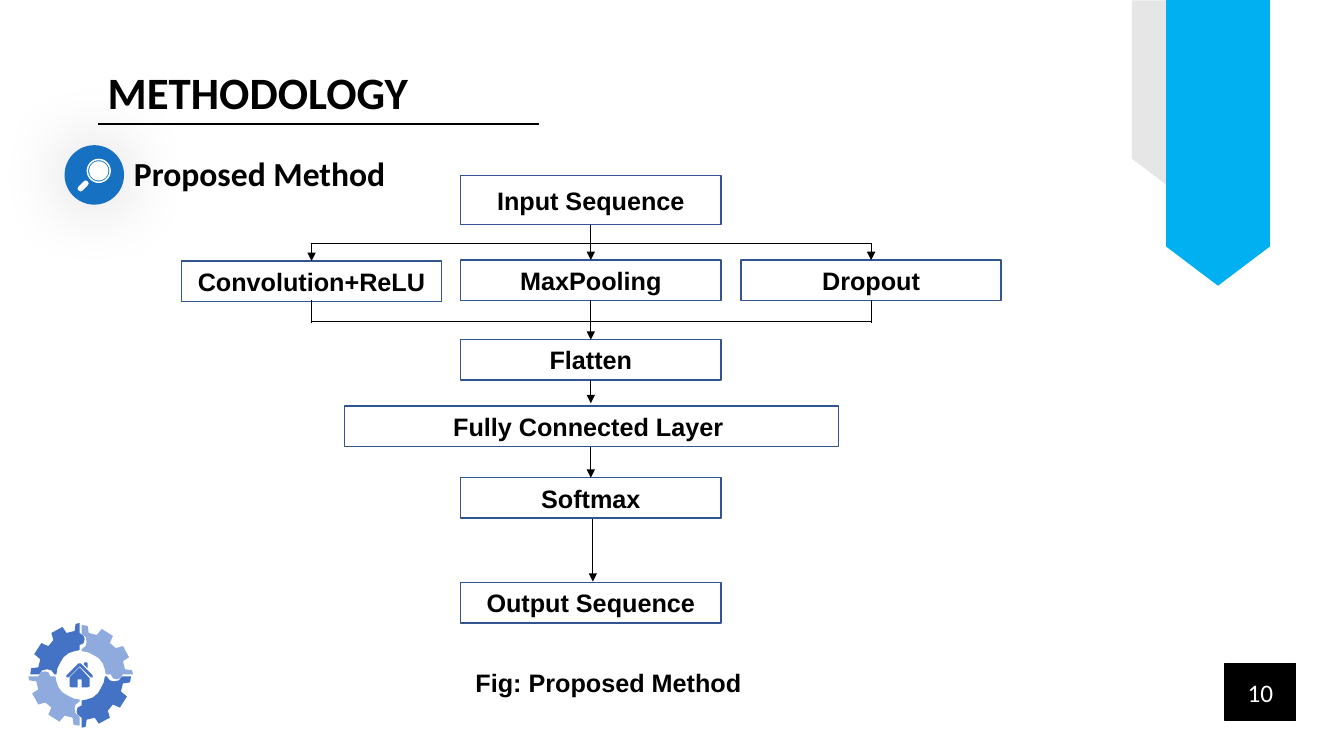
from dataclasses import dataclass
from math import cos, pi, sin

from lxml.etree import SubElement
from pptx import Presentation
from pptx.dml.color import RGBColor
from pptx.enum.shapes import MSO_CONNECTOR, MSO_SHAPE
from pptx.enum.text import MSO_ANCHOR as Anchor, MSO_AUTO_SIZE as AutoSize, PP_ALIGN as Align
from pptx.oxml.ns import qn
from pptx.util import Inches, Pt

BLACK, WHITE, BORDER = "000000", "FFFFFF", "325491"
GEAR_DARK, GEAR_LIGHT = "4472C4", "8FAADC"
Point = tuple[float, float]


@dataclass
class Box:
    text: str
    left: float
    top: float
    width: float = 2.58
    height: float = 0.4
    fill: str = WHITE
    border: str = BORDER
    font: str = "Arial"
    color: str = BLACK
    bold: bool = True


@dataclass
class Link:
    start: Point
    end: Point
    arrow: bool = False
    weight: float = 0.5


@dataclass
class Heading:
    text: str
    left: float
    top: float
    width: float
    height: float
    size: int


@dataclass
class Ribbon:
    left: float
    top: float
    width: float
    height: float
    fill: str


CENTER, LEFT_BRANCH, RIGHT_BRANCH = 5.86, 3.09, 8.64
COLUMN = 4.57

HEADINGS = [
    Heading("METHODOLOGY", 0.97, 0.59, 6.67, 0.64, 32),
    Heading("Proposed Method", 1.23, 1.47, 3.52, 0.5, 24),
]
BOXES = [
    Box("Input Sequence", COLUMN, 1.74, height=0.49),
    Box("Convolution+ReLU", 1.8, 2.59),
    Box("Dropout", 7.35, 2.58),
    Box("MaxPooling", COLUMN, 2.58),
    Box("Flatten", COLUMN, 3.37),
    Box("Fully Connected Layer ", 3.42, 4.03, width=4.9),
    Box("Softmax", COLUMN, 4.74),
    Box("Output Sequence", COLUMN, 5.78),
    Box("Fig: Proposed Method", 3.42, 6.57, width=5.23, border=WHITE),
    Box("10", 12.15, 6.58, 0.7, 0.57, BLACK, BLACK, "Calibri", WHITE, False),
]
LINKS = [
    Link((0.97, 1.23), (5.35, 1.23), weight=1.5),
    Link((LEFT_BRANCH, 2.41), (RIGHT_BRANCH, 2.41)),
    Link((LEFT_BRANCH, 2.41), (LEFT_BRANCH, 2.59), arrow=True),
    Link((RIGHT_BRANCH, 2.41), (RIGHT_BRANCH, 2.58), arrow=True),
    Link((LEFT_BRANCH, 3.19), (RIGHT_BRANCH, 3.19)),
    Link((LEFT_BRANCH, 2.98), (LEFT_BRANCH, 3.2)),
    Link((RIGHT_BRANCH, 2.98), (RIGHT_BRANCH, 3.2)),
    Link((CENTER, 2.23), (CENTER, 2.58), arrow=True),
    Link((CENTER, 2.98), (CENTER, 3.37), arrow=True),
    Link((CENTER, 3.77), (CENTER, 4), arrow=True),
    Link((CENTER, 4.43), (CENTER, 4.74), arrow=True),
    Link((5.88, 5.15), (5.88, 5.77), arrow=True),
]
RIBBONS = [
    Ribbon(10.68, 0.55, 1.86, 0.77, "E7E6E6"),
    Ribbon(10.66, 0.9, 2.84, 1.03, "00B0F0"),
]

GEAR_CENTER = (0.8, 6.7)
GEAR_QUARTER = [
    (0.38, 6.62), (0.31, 6.63), (0.3, 6.69), (0.39, 6.69), (0.42, 6.65), (0.47, 6.64),
    (0.51, 6.65), (0.54, 6.69), (0.56, 6.69), (0.57, 6.63), (0.6, 6.57), (0.63, 6.52),
    (0.68, 6.48), (0.74, 6.46), (0.79, 6.45), (0.79, 6.4), (0.83, 6.38), (0.84, 6.34),
    (0.83, 6.31), (0.79, 6.28), (0.79, 6.18), (0.75, 6.19), (0.74, 6.26), (0.66, 6.28),
    (0.62, 6.22), (0.51, 6.28), (0.53, 6.35), (0.48, 6.41), (0.41, 6.38), (0.34, 6.49),
    (0.4, 6.54),
]
HOUSE = [
    [(0.87, 6.58), (0.86, 6.57), (0.84, 6.57), (0.83, 6.59), (0.87, 6.63)],
    [(0.92, 6.7), (0.8, 6.58), (0.78, 6.58), (0.66, 6.7), (0.66, 6.72), (0.68, 6.72),
     (0.79, 6.61), (0.9, 6.72), (0.92, 6.72)],
    [(0.69, 6.72), (0.69, 6.81), (0.71, 6.82), (0.77, 6.82), (0.77, 6.74), (0.81, 6.74),
     (0.81, 6.82), (0.87, 6.82), (0.89, 6.81), (0.89, 6.73), (0.79, 6.62)],
]
HANDLE = [
    (0.85, 1.79), (0.87, 1.8), (0.88, 1.82), (0.87, 1.84), (0.82, 1.89), (0.8, 1.9),
    (0.78, 1.89), (0.77, 1.87), (0.78, 1.85), (0.83, 1.8),
]


def rgb(color: str) -> RGBColor:
    return RGBColor.from_string(color)


def write(shape, text: str, *, size: int = 18, font: str = "Arial", color: str = BLACK,
          bold: bool = True, align=Align.LEFT, anchor=Anchor.TOP) -> None:
    frame = shape.text_frame
    frame.word_wrap = True
    frame.vertical_anchor = anchor
    paragraph = frame.paragraphs[0]
    paragraph.alignment = align
    run = paragraph.add_run()
    run.text = text
    run.font.size, run.font.name, run.font.bold = Pt(size), font, bold
    run.font.color.rgb = rgb(color)


def paint(shape, fill: str, border: str | None = None) -> None:
    shape.shadow.inherit = False
    shape.fill.solid()
    shape.fill.fore_color.rgb = rgb(fill)
    if border:
        shape.line.color.rgb = rgb(border)
        shape.line.width = Pt(1)
    else:
        shape.line.fill.background()


def add_preset(shapes, kind, left: float, top: float, width: float, height: float):
    return shapes.add_shape(kind, Inches(left), Inches(top), Inches(width), Inches(height))


def add_heading(shapes, heading: Heading) -> None:
    shape = shapes.add_textbox(Inches(heading.left), Inches(heading.top),
                               Inches(heading.width), Inches(heading.height))
    write(shape, heading.text, size=heading.size, font="Calibri")
    shape.text_frame.auto_size = AutoSize.SHAPE_TO_FIT_TEXT


def add_box(shapes, box: Box) -> None:
    shape = add_preset(shapes, MSO_SHAPE.RECTANGLE, box.left, box.top, box.width, box.height)
    paint(shape, box.fill, box.border)
    write(shape, box.text, font=box.font, color=box.color, bold=box.bold,
          align=Align.CENTER, anchor=Anchor.MIDDLE)


def add_link(shapes, link: Link) -> None:
    connector = shapes.add_connector(MSO_CONNECTOR.STRAIGHT,
                                     *map(Inches, link.start + link.end))
    connector.line.color.rgb = rgb(BLACK)
    connector.line.width = Pt(link.weight)
    if link.arrow:
        SubElement(connector.line._get_or_add_ln(), qn("a:tailEnd"), type="triangle")
    SubElement(connector._element.spPr, qn("a:effectLst"))


def add_outline(shapes, contours: list[list[Point]], fill: str) -> None:
    points = [[(Inches(x), Inches(y)) for x, y in contour] for contour in contours]
    builder = shapes.build_freeform(*points[0][0])
    for index, contour in enumerate(points):
        if index:
            builder.move_to(*contour[0])
        builder.add_line_segments(contour[1:], close=True)
    paint(builder.convert_to_shape(), fill)


def circle(x: float, y: float, radius: float, steps: int = 40) -> list[Point]:
    angles = [2 * pi * step / steps for step in range(steps)]
    return [(x + radius * cos(angle), y + radius * sin(angle)) for angle in angles]


def quarter_turn(points: list[Point], center: Point) -> list[Point]:
    x0, y0 = center
    return [(x0 - (y - y0), y0 + (x - x0)) for x, y in points]


def add_search_icon(shapes) -> None:
    badge = add_preset(shapes, MSO_SHAPE.OVAL, 0.64, 1.44, 0.59, 0.59)
    paint(badge, "1671C2")
    effects = badge._element.spPr.find(qn("a:effectLst"))
    shadow = SubElement(effects, qn("a:outerShdw"), blurRad=str(Pt(51)), dist="0", dir="0")
    color = SubElement(shadow, qn("a:srgbClr"), val=BLACK)
    SubElement(color, qn("a:alpha"), val="18000")
    rings = [circle(0.98, 1.695, radius) for radius in (0.095, 0.105, 0.12)]
    add_outline(shapes, [HANDLE, *rings], WHITE)


def add_gear(shapes) -> None:
    gear = shapes.add_group_shape().shapes
    quarter = GEAR_QUARTER
    for fill in (GEAR_DARK, GEAR_LIGHT) * 2:
        add_outline(gear, [quarter], fill)
        quarter = quarter_turn(quarter, GEAR_CENTER)
    add_outline(gear, HOUSE, GEAR_DARK)


def add_ribbon(shapes, ribbon: Ribbon) -> None:
    shape = add_preset(shapes, MSO_SHAPE.PENTAGON, ribbon.left, ribbon.top,
                       ribbon.width, ribbon.height)
    shape.adjustments[0] = 0.378
    shape.rotation = 90
    paint(shape, ribbon.fill)


def main() -> None:
    presentation = Presentation()
    presentation.slide_width, presentation.slide_height = Inches(13.33), Inches(7.5)
    shapes = presentation.slides.add_slide(presentation.slide_layouts[6]).shapes

    # Headings and icon
    for heading in HEADINGS:
        add_heading(shapes, heading)
    add_search_icon(shapes)

    # Flowchart, caption and page number
    for box in BOXES:
        add_box(shapes, box)
    for link in LINKS:
        add_link(shapes, link)

    # Decoration
    add_gear(shapes)
    ribbons = shapes.add_group_shape().shapes
    for ribbon in RIBBONS:
        add_ribbon(ribbons, ribbon)

    presentation.save("out.pptx")


if __name__ == "__main__":
    main()
